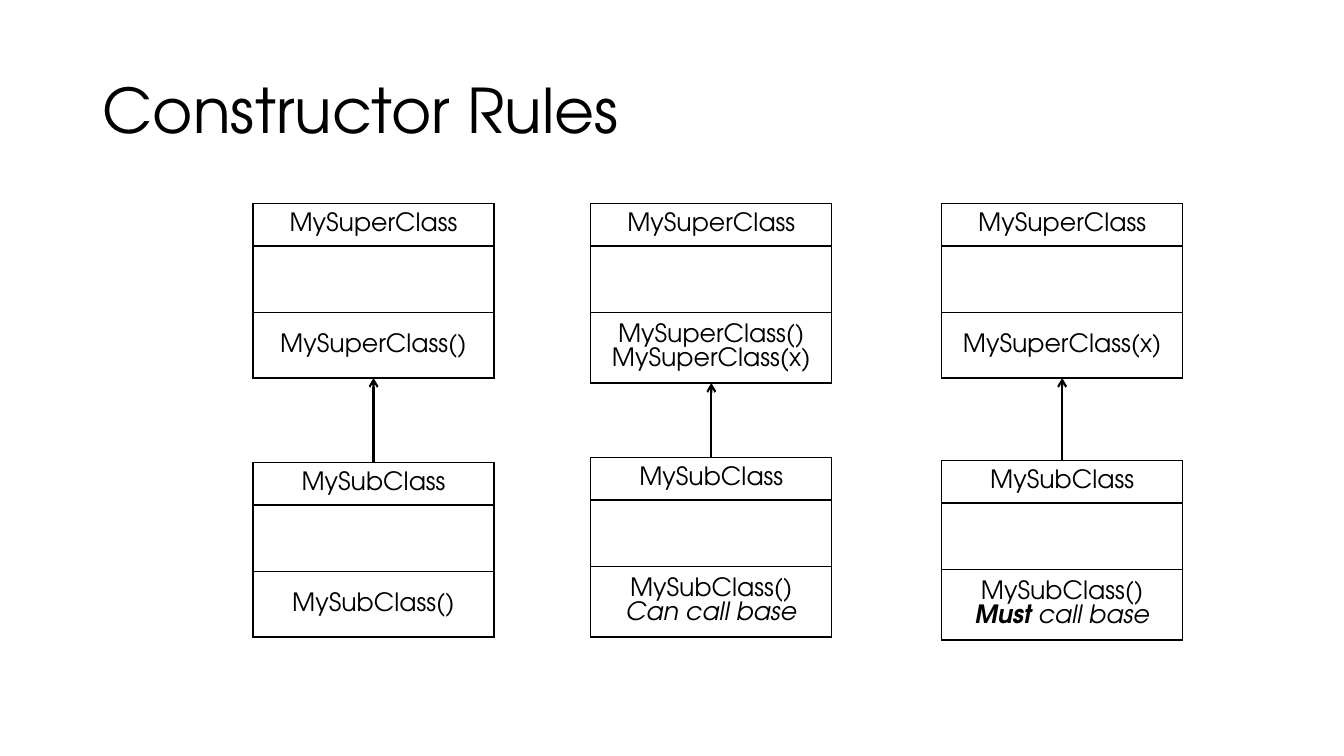
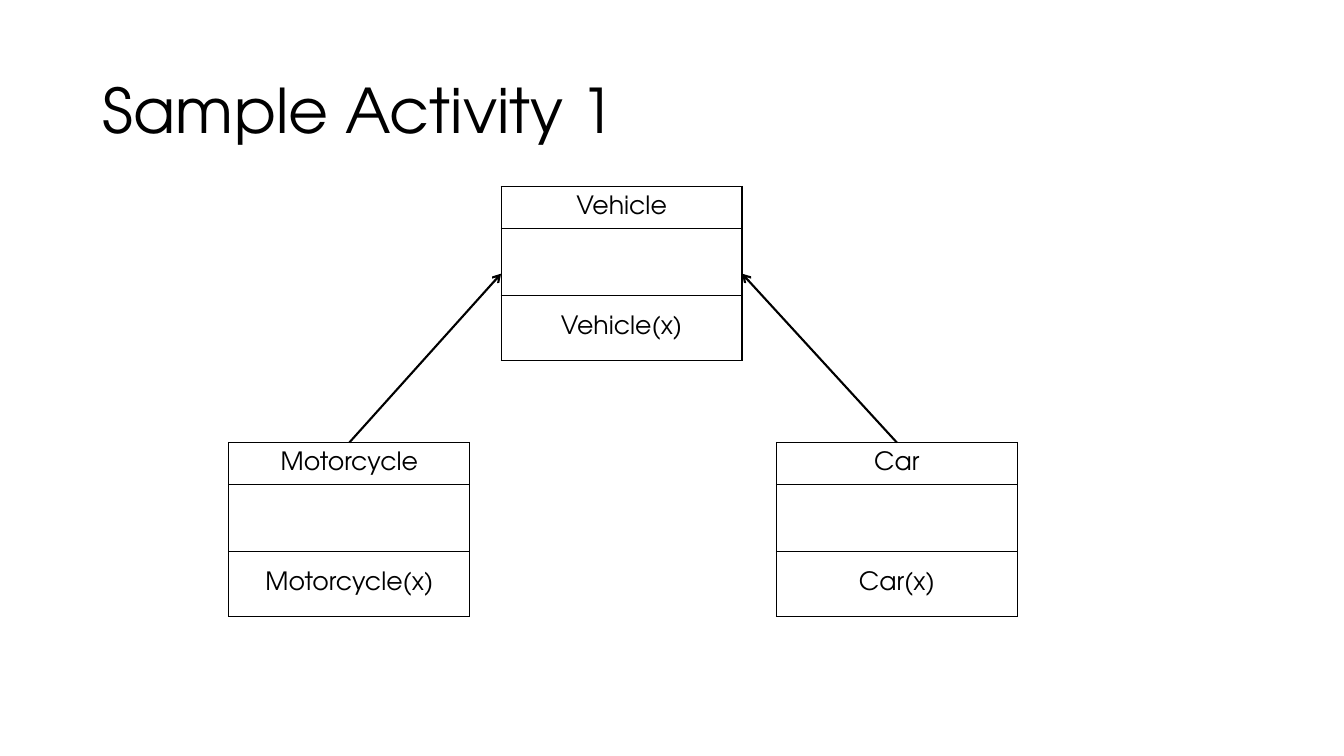
from lxml import etree
from pptx import Presentation
from pptx import util as u
from pptx.dml.color import RGBColor
from pptx.enum import shapes, text
from pptx.oxml.ns import qn

PX = 9144  # EMU per px, 100 px to the inch
BLACK = RGBColor(0x00, 0x00, 0x00)
FONT = "TeX Gyre Adventor"
TITLE_BOX = (92, 40, 1150, 145)
TITLE_SIZE, BODY_SIZE = 44, 18
CLASS_WIDTH = 239
ROW_HEIGHTS = (42, 66, 65)
TWO_LINE_EXTRA = 5
BORDER_PT, ARROW_PT = 1, 1.5
TOP, LEFT, BOTTOM, RIGHT = range(4)
ITALIC = {"italic": True}
BOLD_ITALIC = {"bold": True, "italic": True}

# class: key -> (left, top, name, constructor lines); a line is a list of (text, format) runs
# arrow: (subclass, superclass, side of the superclass)
SLIDES = [
    {
        "title": "Constructor Rules",
        "classes": {
            "super 1": (251, 202, "MySuperClass", [[("MySuperClass()", {})]]),
            "sub 1": (251, 459, "MySubClass", [[("MySubClass()", {})]]),
            "super 2": (586, 202, "MySuperClass",
                        [[("MySuperClass()", {})], [("MySuperClass(x)", {})]]),
            "sub 2": (586, 454, "MySubClass",
                      [[("MySubClass()", {})], [("Can call base", ITALIC)]]),
            "super 3": (934, 202, "MySuperClass", [[("MySuperClass(x)", {})]]),
            "sub 3": (934, 457, "MySubClass",
                      [[("MySubClass()", {})],
                       [("Must", BOLD_ITALIC), (" call base", ITALIC)]]),
        },
        "arrows": [(f"sub {n}", f"super {n}", BOTTOM) for n in (1, 2, 3)],
    },
    {
        "title": "Sample Activity 1",
        "classes": {
            "vehicle": (497, 185, "Vehicle", [[("Vehicle(x)", {})]]),
            "motorcycle": (227, 439, "Motorcycle", [[("Motorcycle(x)", {})]]),
            "car": (770, 439, "Car", [[("Car(x)", {})]]),
        },
        "arrows": [("motorcycle", "vehicle", LEFT), ("car", "vehicle", RIGHT)],
    },
]


def px(*lengths):
    return [u.Emu(n * PX) for n in lengths]


def add_run(p, words, size, **styles):
    r = p.add_run()
    r.text = words
    r.font.color.rgb = BLACK
    for name, value in {"name": FONT, "size": u.Pt(size), **styles}.items():
        setattr(r.font, name, value)


def add_title(s, words):
    tf = s.shapes.add_textbox(*px(*TITLE_BOX)).text_frame
    tf.word_wrap = True
    tf.vertical_anchor = text.MSO_ANCHOR.MIDDLE
    p = tf.paragraphs[0]
    p.line_spacing = 0.9
    add_run(p, words, TITLE_SIZE)


def add_borders(cell):
    tc_pr = cell._tc.get_or_add_tcPr()
    for i, side in enumerate(("a:lnL", "a:lnR", "a:lnT", "a:lnB")):
        ln = etree.Element(qn(side), w=str(u.Pt(BORDER_PT)))
        fill = etree.SubElement(ln, qn("a:solidFill"))
        etree.SubElement(fill, qn("a:srgbClr"), val=str(BLACK))
        tc_pr.insert(i, ln)


def add_class(s, left, top, name, constructors):
    """Three-row class box: name, empty fields, constructors."""
    rows = ([[(name, {})]], [], constructors)
    frame = s.shapes.add_table(
        len(rows), 1, *px(left, top, CLASS_WIDTH, sum(ROW_HEIGHTS)))
    table = frame.table
    table.first_row = table.horz_banding = False
    for row, height, lines in zip(table.rows, px(*ROW_HEIGHTS), rows):
        row.height = height
        cell = row.cells[0]
        cell.fill.background()
        cell.vertical_anchor = text.MSO_ANCHOR.MIDDLE
        add_borders(cell)
        tf = cell.text_frame
        for i, runs in enumerate(lines):
            p = tf.add_paragraph() if i else tf.paragraphs[0]
            p.alignment = text.PP_ALIGN.CENTER
            for words, styles in runs:
                add_run(p, words, BODY_SIZE, **styles)
    extra = TWO_LINE_EXTRA * (len(constructors) - 1)
    frame.height = px(sum(ROW_HEIGHTS) + extra)[0]
    return frame


def add_arrow(s, subclass, superclass, side):
    line = s.shapes.add_connector(shapes.MSO_CONNECTOR.STRAIGHT, 0, 0, 0, 0)
    line.begin_connect(subclass, TOP)
    line.end_connect(superclass, side)
    line.line.color.rgb = BLACK
    line.line.width = u.Pt(ARROW_PT)
    etree.SubElement(line.line._get_or_add_ln(), qn("a:tailEnd"), type="arrow")
    etree.SubElement(line._element.spPr, qn("a:effectLst"))


def main():
    prs = Presentation()
    prs.slide_width, prs.slide_height = px(1333, 750)
    for content in SLIDES:
        s = prs.slides.add_slide(prs.slide_layouts[6])
        add_title(s, content["title"])
        boxes = {key: add_class(s, *parts) for key, parts in content["classes"].items()}
        for subclass, superclass, side in content["arrows"]:
            add_arrow(s, boxes[subclass], boxes[superclass], side)
    prs.save("out.pptx")


if __name__ == "__main__":
    main()
